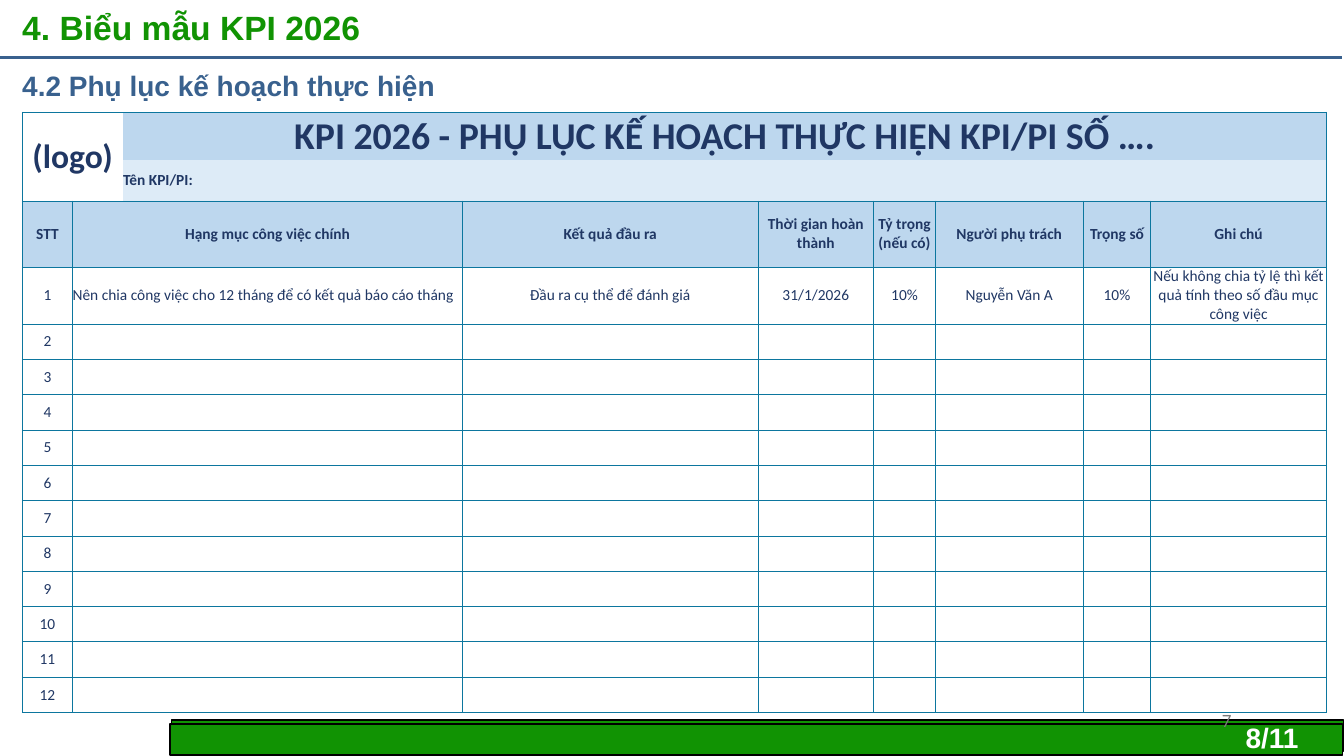
from lxml.etree import SubElement
from pptx import Presentation
from pptx.dml.color import RGBColor
from pptx.enum.shapes import MSO_CONNECTOR, MSO_SHAPE
from pptx.enum.text import MSO_ANCHOR, MSO_AUTO_SIZE, PP_ALIGN
from pptx.oxml.ns import qn
from pptx.util import Cm, Pt

GREEN, BLUE, NAVY, TEAL = "119303", "39618E", "203764", "0C769E"
HEADER_FILL, NAME_FILL, WHITE = "BDD7EE", "DDEBF7", "FFFFFF"

COLUMN_WIDTHS = [1.27, 1.27, 8.56, 7.44, 2.92, 1.55, 3.73, 1.7, 4.43]
TOP_ROW_HEIGHTS = [1.2, 1.02, 1.66, 1.39]
TASK_ROW_HEIGHT = 0.89
TASK_COUNT = 12
HEADERS = ["STT", "Hạng mục công việc chính", "Kết quả đầu ra",
           "Thời gian hoàn thành", "Tỷ trọng\n(nếu có)", "Người phụ trách",
           "Trọng số", "Ghi chú"]
FIRST_TASK = ["1", "Nên chia công việc cho 12 tháng để có kết quả báo cáo tháng",
              "Đầu ra cụ thể để đánh giá", "31/1/2026", "10%", "Nguyễn Văn A",
              "10%", "Nếu không chia tỷ lệ thì kết quả tính theo số đầu mục công việc"]


def color(value):
    return RGBColor.from_string(value)


def write(frame, text, size, hue, font="Arial", bold=True, align=PP_ALIGN.LEFT,
          spacing=None):
    paragraph = frame.paragraphs[0]
    paragraph.alignment = align
    if spacing:
        paragraph.line_spacing = Pt(spacing)
    for index, line in enumerate(text.split("\n")):
        if index:
            paragraph.add_line_break()
        run = paragraph.add_run()
        run.text = line
        run.font.name, run.font.size, run.font.bold = font, Pt(size), bold
        run.font.color.rgb = color(hue)


def prepare_frame(shape, anchor=MSO_ANCHOR.TOP):
    frame = shape.text_frame
    frame.word_wrap = True
    frame.auto_size = MSO_AUTO_SIZE.NONE
    frame.vertical_anchor = anchor
    frame.margin_left = frame.margin_right = 0
    frame.margin_top = frame.margin_bottom = 0
    return frame


def add_text(slide, left, top, width, height, anchor=MSO_ANCHOR.TOP):
    box = slide.shapes.add_textbox(Cm(left), Cm(top), Cm(width), Cm(height))
    return prepare_frame(box, anchor)


def add_headings(slide, left, top, width):
    # Title, rule across the slide, and section heading
    title = slide.shapes.title
    title.left, title.top = Cm(left), Cm(top)
    title.width, title.height = Cm(width), Cm(0.97)
    write(prepare_frame(title), "4. Biểu mẫu KPI 2026", 24, GREEN, spacing=28.8)

    rule_top = Cm(top + 1.27)
    rule = slide.shapes.add_connector(MSO_CONNECTOR.STRAIGHT, 0, rule_top,
                                      Cm(33.83), rule_top)
    rule.line.color.rgb = color(BLUE)
    rule.line.width = Pt(1.5)
    SubElement(rule._element.spPr, qn("a:effectLst"))

    heading = add_text(slide, left, top + 1.55, width, 0.86)
    write(heading, "4.2 Phụ lục kế hoạch thực hiện", 20, BLUE, spacing=24)


def set_borders(cell, sides):
    properties = cell._tc.get_or_add_tcPr()
    for side in "LRTB":
        line = SubElement(properties, qn("a:ln" + side), w=str(Pt(0.5)))
        if side in sides:
            fill = SubElement(line, qn("a:solidFill"))
            SubElement(fill, qn("a:srgbClr"), val=TEAL)
        else:
            SubElement(line, qn("a:noFill"))


def fill_cell(cell, text="", fill=WHITE, size=11, bold=True,
              align=PP_ALIGN.CENTER, borders="LRTB"):
    set_borders(cell, borders)
    cell.fill.solid()
    cell.fill.fore_color.rgb = color(fill)
    cell.margin_left = cell.margin_right = 0
    cell.margin_top = cell.margin_bottom = 0
    cell.vertical_anchor = MSO_ANCHOR.MIDDLE
    if text:
        write(cell.text_frame, text, size, NAVY, "Calibri", bold, align)


def add_plan_table(slide, left, top):
    heights = TOP_ROW_HEIGHTS + [TASK_ROW_HEIGHT] * (TASK_COUNT - 1)
    last_column = len(COLUMN_WIDTHS) - 1
    table = slide.shapes.add_table(len(heights), len(COLUMN_WIDTHS), Cm(left), Cm(top),
                                   Cm(sum(COLUMN_WIDTHS)), Cm(sum(heights))).table
    table.first_row = table.horz_banding = False
    for column, width in zip(table.columns, COLUMN_WIDTHS):
        column.width = Cm(width)
    for row, height in zip(table.rows, heights):
        row.height = Cm(height)

    # Banner: logo space, form title, indicator name
    table.cell(0, 0).merge(table.cell(1, 1))
    for row in (0, 1):
        table.cell(row, 2).merge(table.cell(row, last_column))
    fill_cell(table.cell(0, 0), "(logo)", size=24, borders="LTB")
    fill_cell(table.cell(0, 2), "KPI 2026 - PHỤ LỤC KẾ HOẠCH THỰC HIỆN KPI/PI SỐ ….",
              HEADER_FILL, 27, borders="RT")
    fill_cell(table.cell(1, 2), "Tên KPI/PI:", NAME_FILL, align=PP_ALIGN.LEFT,
              borders="RB")

    # Header row and numbered tasks; the task name spans two columns
    blank = [""] * (len(HEADERS) - 1)
    lines = [HEADERS, FIRST_TASK]
    lines += [[str(number)] + blank for number in range(2, TASK_COUNT + 1)]
    for row, texts in enumerate(lines, start=2):
        is_header = row == 2
        table.cell(row, 1).merge(table.cell(row, 2))
        for index, text in enumerate(texts):
            is_task_name = index == 1 and not is_header
            fill_cell(table.cell(row, index if index < 2 else index + 1), text,
                      HEADER_FILL if is_header else WHITE, bold=is_header,
                      align=PP_ALIGN.LEFT if is_task_name else PP_ALIGN.CENTER)


def add_footer_bars(slide, left, top):
    for shift_left, shift_top in ((0.03, 0), (0, 0.1)):
        bar = slide.shapes.add_shape(MSO_SHAPE.RECTANGLE, Cm(left + shift_left),
                                     Cm(top + shift_top), Cm(29.54), Cm(0.79))
        bar.shadow.inherit = False
        bar.fill.solid()
        bar.fill.fore_color.rgb = color(GREEN)
        bar.line.color.rgb = color("000000")
        bar.line.width = Pt(1)


def add_page_numbers(slide, left, top):
    number = add_text(slide, left, top, 7.37, 1.02, MSO_ANCHOR.MIDDLE)
    write(number, "7", 12, "797979", "Lato", False, PP_ALIGN.RIGHT)
    page = add_text(slide, left + 7.72, top + 0.51, 2.31, 0.86)
    write(page, "8/11", 20, WHITE, spacing=24)


def main():
    presentation = Presentation()
    presentation.slide_width, presentation.slide_height = Cm(33.87), Cm(19.05)
    slide = presentation.slides.add_slide(presentation.slide_layouts[5])
    add_footer_bars(slide, 4.29, 18.14)
    add_headings(slide, 0.56, 0.18, 32.87)
    add_plan_table(slide, 0.56, 2.83)
    add_page_numbers(slide, 23.67, 17.65)
    presentation.save("out.pptx")


if __name__ == "__main__":
    main()
